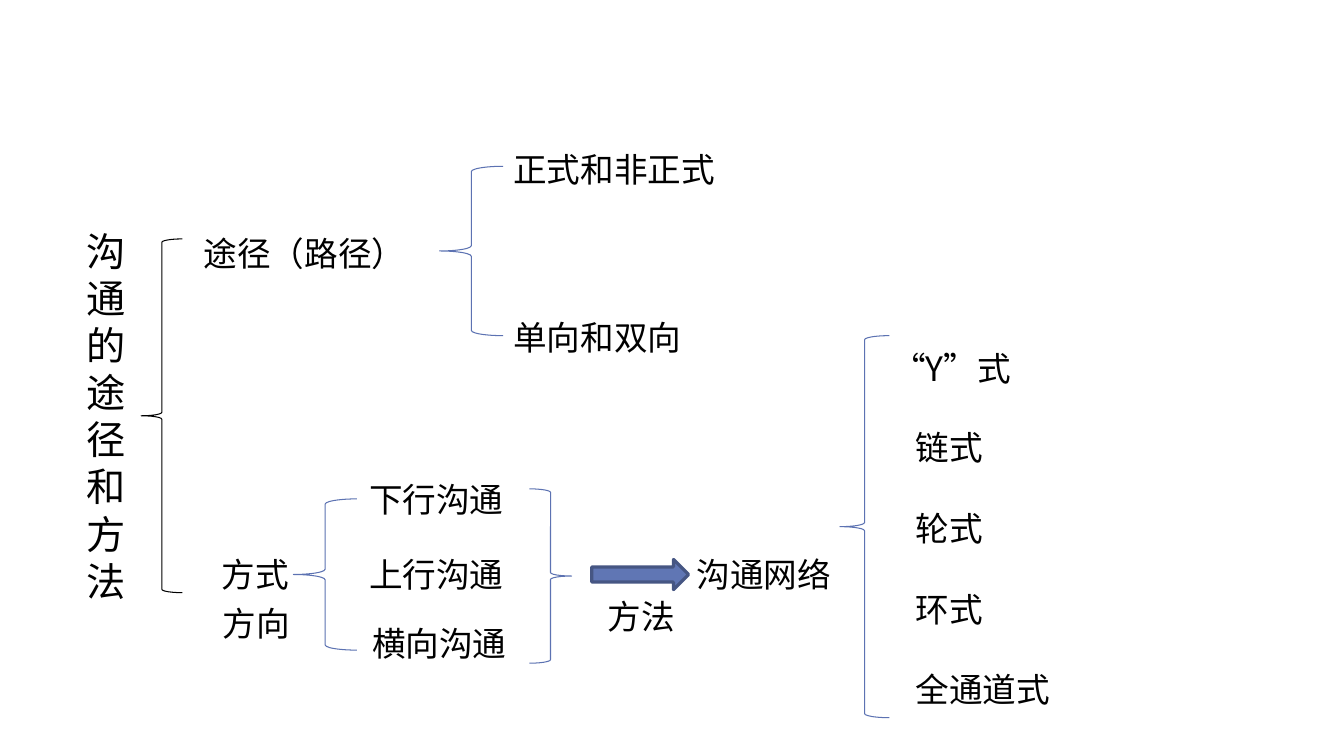
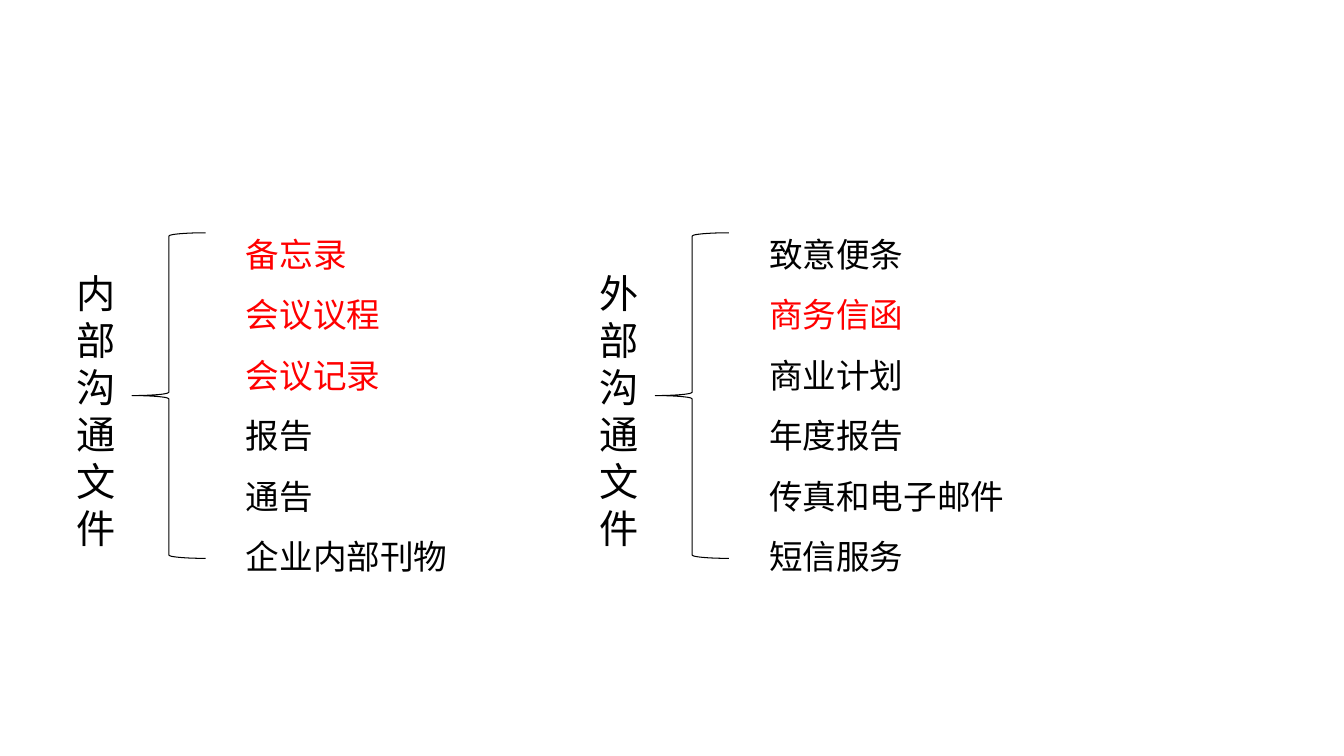
from lxml import etree
from pptx import Presentation
from pptx.dml.color import RGBColor
from pptx.enum.shapes import MSO_SHAPE
from pptx.oxml.ns import qn
from pptx.util import Inches, Pt

LEFT_BRACE = MSO_SHAPE.LEFT_BRACE
RIGHT_BRACE = MSO_SHAPE.RIGHT_BRACE
RIGHT_ARROW = MSO_SHAPE.RIGHT_ARROW

FONT = "Noto Sans CJK SC"
BLACK, RED = "000000", "FF0000"
BRACE_BLUE, ARROW_FILL, ARROW_LINE = "5C72B2", "6076B4", "465683"
HEADING_SIZE, BODY_SIZE = 28, 24
LINE_HEIGHT = 1.2  # line pitch as a multiple of the text size


def add_text(page, left, top, width, height, lines, size=BODY_SIZE,
             spacing=1, gap=0, side=0.07):
    """Add a text box; lines holds (text, colour) pairs, one per paragraph."""
    box = page.shapes.add_textbox(Inches(left), Inches(top),
                                  Inches(width), Inches(height))
    frame = box.text_frame
    frame.word_wrap = True
    frame.margin_left = frame.margin_right = Inches(side)
    frame.margin_top = frame.margin_bottom = Inches(0.05)
    for index, (text, colour) in enumerate(lines):
        para = frame.paragraphs[0] if index == 0 else frame.add_paragraph()
        para.line_spacing = Pt(size * LINE_HEIGHT * spacing)
        para.space_before = Pt(gap if index else 0)
        span = para.add_run()
        span.text = text
        span.font.size = Pt(size)
        span.font.name = FONT
        span.font.color.rgb = RGBColor.from_string(colour)
        properties = span.font._element
        properties.set("lang", "zh-CN")
        etree.SubElement(properties, qn("a:ea")).set("typeface", FONT)


def add_brace(page, left, top, width, height, colour, kind=LEFT_BRACE, curve=0.083):
    brace = page.shapes.add_shape(kind, Inches(left), Inches(top),
                                  Inches(width), Inches(height))
    brace.shadow.inherit = False
    brace.adjustments[0] = curve
    brace.fill.background()
    brace.line.color.rgb = RGBColor.from_string(colour)
    brace.line.width = Pt(0.75)


deck = Presentation()
deck.slide_width = Inches(13.33)
deck.slide_height = Inches(7.5)
blank = deck.slide_layouts[6]

# Slide 1: tree of channels and methods
page = deck.slides.add_slide(blank)
add_text(page, 0.79, 2.21, 0.52, 3.87, [("沟通的途径和方法", BLACK)], HEADING_SIZE)
add_brace(page, 1.4, 2.37, 0.41, 3.51, BLACK)

# Branch labels
for text, left, top, width in [
    ("途径（路径）", 1.95, 2.26, 2.38),
    ("正式和非正式", 5.02, 1.43, 2.41),
    ("单向和双向", 5.02, 3.09, 2.31),
    ("方式", 2.13, 5.45, 0.94),
    ("方向", 2.14, 5.93, 1.15),
    ("下行沟通", 3.59, 4.7, 1.89),
    ("上行沟通", 3.59, 5.45, 2.29),
    ("横向沟通", 3.62, 6.13, 2.1),
    ("方法", 5.96, 5.86, 1.15),
    ("沟通网络", 6.84, 5.45, 2.2),
]:
    add_text(page, left, top, width, 0.51, [(text, BLACK)])

# Branch braces
for left, top, width, height, kind in [
    (4.36, 1.65, 0.63, 1.68, LEFT_BRACE),
    (2.91, 4.95, 0.63, 1.5, LEFT_BRACE),
    (5.25, 4.85, 0.42, 1.73, RIGHT_BRACE),
    (8.33, 3.33, 0.49, 3.79, LEFT_BRACE),
]:
    add_brace(page, left, top, width, height, BRACE_BLUE, kind)

# Arrow to the networks
arrow = page.shapes.add_shape(RIGHT_ARROW, Inches(5.87), Inches(5.55),
                              Inches(0.96), Inches(0.3))
arrow.shadow.inherit = False
arrow.fill.solid()
arrow.fill.fore_color.rgb = RGBColor.from_string(ARROW_FILL)
arrow.line.color.rgb = RGBColor.from_string(ARROW_LINE)
arrow.line.width = Pt(2.25)

# Network types
add_text(page, 8.75, 3.4, 1.61, 0.51, [("“Y”式", BLACK)], side=0.1)
networks = ["链式", "轮式", "环式", "全通道式"]
add_text(page, 9.01, 4.19, 3, 2.93, [(name, BLACK) for name in networks],
         gap=BODY_SIZE * LINE_HEIGHT)

# Slide 2: internal and external documents
page = deck.slides.add_slide(blank)
groups = [
    ("内部沟通文件", [("备忘录", RED), ("会议议程", RED), ("会议记录", RED),
                ("报告", BLACK), ("通告", BLACK), ("企业内部刊物", BLACK)]),
    ("外部沟通文件", [("致意便条", BLACK), ("商务信函", RED), ("商业计划", BLACK),
                ("年度报告", BLACK), ("传真和电子邮件", BLACK), ("短信服务", BLACK)]),
]
for column, (heading, documents) in enumerate(groups):
    left = 0.69 + column * 5.19
    add_text(page, left, 2.62, 0.52, 2.93, [(heading, BLACK)], HEADING_SIZE)
    add_brace(page, left + 0.62, 2.31, 0.73, 3.23, BLACK, curve=0.045)
    add_text(page, left + 1.65, 2.07, 5.81, 3.74, documents, spacing=1.5, side=0.1)

deck.save("out.pptx")
